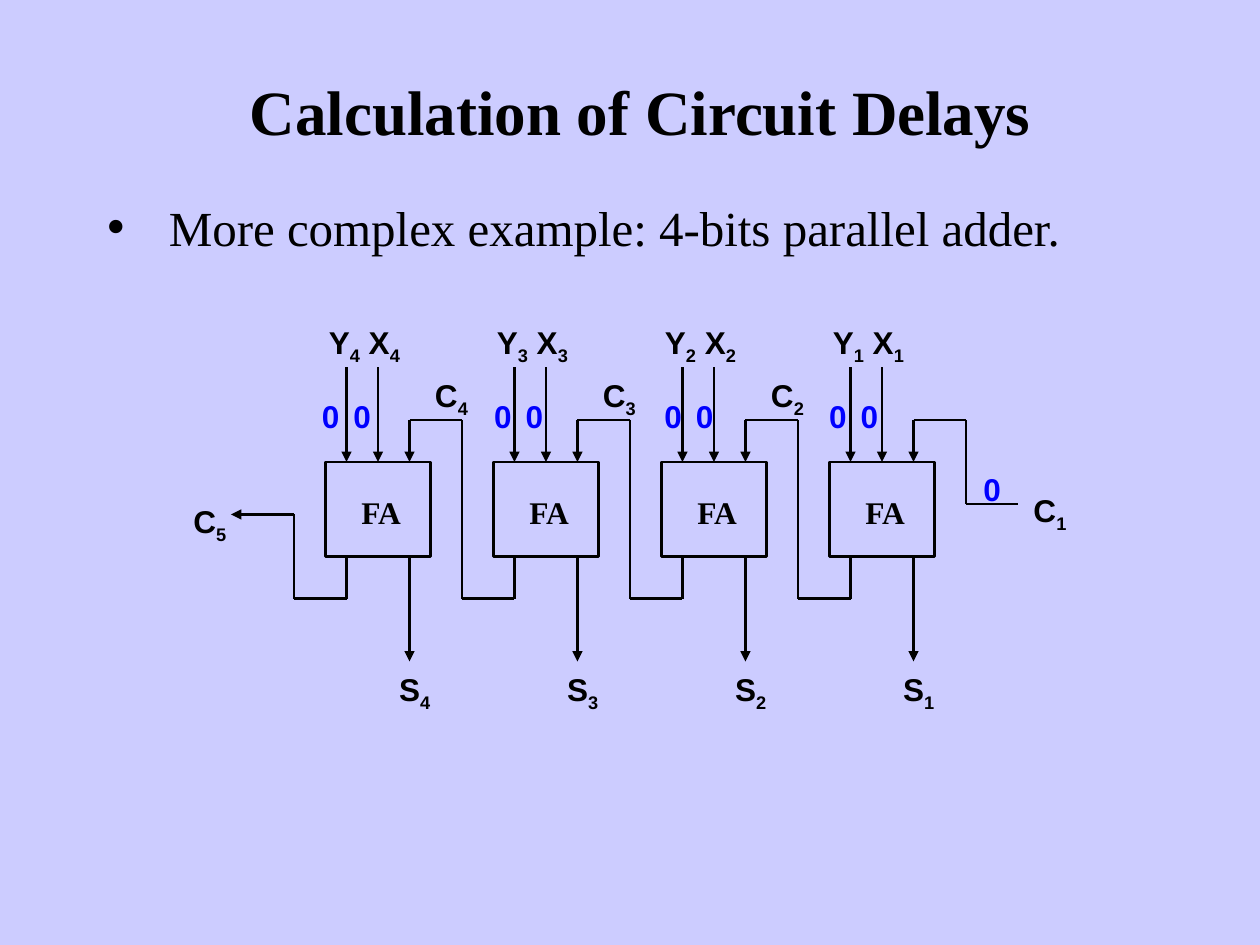
from itertools import pairwise

from lxml.etree import SubElement
from pptx import Presentation
from pptx.dml.color import RGBColor
from pptx.enum.shapes import MSO_CONNECTOR, MSO_SHAPE
from pptx.enum.text import MSO_ANCHOR, PP_ALIGN
from pptx.oxml.ns import qn
from pptx.util import Pt

EMU_PER_PX = 7620
BLACK = RGBColor(0x00, 0x00, 0x00)
BLUE = RGBColor(0x00, 0x00, 0xFF)
LAVENDER = RGBColor(0xCC, 0xCC, 0xFF)
SERIF = "Times New Roman"
SANS = "Arial"

FIRST_X, PITCH = 310, 160
INPUT_Y, CARRY_Y, BOX_Y, BOX_BOTTOM, LOOP_Y, SUM_Y = 350, 400, 440, 530, 570, 630
ZERO_OFFSETS = {4: -20, 3: -16, 2: -14, 1: -17}


def px(n):
    """Turn pixels into EMU."""
    return n * EMU_PER_PX


def add_text(s, box, runs, size=18, font=SANS, color=BLACK, bold=True, align=PP_ALIGN.CENTER):
    """Add a one-paragraph text box; a run of digits after a letter is a subscript."""
    sp = s.shapes.add_textbox(*map(px, box))
    tf = sp.text_frame
    tf.word_wrap = True
    p = tf.paragraphs[0]
    p.alignment = align
    for i, text in enumerate(runs):
        r = p.add_run()
        r.text = text
        r.font.size, r.font.name, r.font.bold = Pt(size), font, bold
        r.font.color.rgb = color
        if i and text.isdigit():
            r.font._element.set("baseline", "-25000")
    return sp


def add_bullet(sp, indent):
    """Give the box's paragraph a hanging bullet slightly larger than its text."""
    pPr = sp.text_frame.paragraphs[0]._p.get_or_add_pPr()
    pPr.set("marL", str(px(indent)))
    pPr.set("indent", str(-px(indent)))
    SubElement(pPr, qn("a:buSzPct"), val="114000")
    SubElement(pPr, qn("a:buFont"), typeface=SERIF)
    SubElement(pPr, qn("a:buChar"), char="•")


def add_wire(s, points, arrow=False):
    """Draw straight segments through the points and return the last one."""
    for start, end in pairwise(points):
        c = s.shapes.add_connector(MSO_CONNECTOR.STRAIGHT, *map(px, start + end))
        c.line.color.rgb = BLACK
        c.line.width = Pt(1.25)
        SubElement(c._element.spPr, qn("a:effectLst"))
    if arrow:
        SubElement(c.line._get_or_add_ln(), qn("a:tailEnd"), type="triangle")
    return c


def add_box(s, x):
    """Add the outline of one full adder with its name."""
    sp = s.shapes.add_shape(MSO_SHAPE.RECTANGLE, *map(px, (x, BOX_Y, 100, BOX_BOTTOM - BOX_Y)))
    sp.shadow.inherit = False
    sp.fill.background()
    sp.line.color.rgb = BLACK
    sp.line.width = Pt(1.5)
    add_text(s, (x + 13, 464, 80, 48), ["FA"], font=SERIF)
    return sp


def add_zero(s, x, y):
    """Add a blue zero delay."""
    add_text(s, (x, y, 50, 48), ["0"], color=BLUE)


def add_stage(s, x, bit):
    """Add one adder stage with its inputs, sum output and incoming carry."""
    n = str(bit)
    box = add_box(s, x)
    add_text(s, (x - 20, 302, 114, 53), ["Y", n, " X", n])
    add_wire(s, [(x + 20, INPUT_Y), (x + 20, BOX_Y)], arrow=True)
    add_wire(s, [(x + 50, INPUT_Y), (x + 50, BOX_Y)], arrow=True).end_connect(box, 0)
    add_wire(s, [(x + 80, BOX_BOTTOM), (x + 80, SUM_Y)], arrow=True)
    add_text(s, (x + 50, SUM_Y + 2, 70, 53), ["S", n])
    add_wire(s, [(x + 80, CARRY_Y), (x + 80, BOX_Y)], arrow=True)
    if bit > 1:
        source = [(x + 130, LOOP_Y), (x + PITCH + 20, LOOP_Y), (x + PITCH + 20, BOX_BOTTOM)]
        add_text(s, (x + 90, 352, 60, 53), ["C", n])
    else:
        source = [(x + 130, 480), (x + 180, 480)]
        add_text(s, (x + 180, 462, 60, 53), ["C", n])
        add_zero(s, x + 130, 442)
    add_wire(s, [(x + 80, CARRY_Y), (x + 130, CARRY_Y)] + source)
    for step in (0, 30):
        add_zero(s, x + ZERO_OFFSETS[bit] + step, 372)


def add_carry_out(s, x):
    """Add the final carry that leaves the leftmost stage."""
    add_wire(s, [(x + 20, BOX_BOTTOM), (x + 20, LOOP_Y), (x - 30, LOOP_Y),
                 (x - 30, 490), (x - 90, 490)], arrow=True)
    add_text(s, (x - 140, 472, 60, 53), ["C", "5"])


def main():
    """Build the slide and save it."""
    prs = Presentation()
    prs.slide_width, prs.slide_height = px(1200), px(900)
    s = prs.slides.add_slide(prs.slide_layouts[6])
    s.background.fill.solid()
    s.background.fill.fore_color.rgb = LAVENDER

    title = add_text(s, (100, 30, 1020, 150), ["Calculation of Circuit Delays"], 36, SERIF)
    title.text_frame.vertical_anchor = MSO_ANCHOR.MIDDLE
    body = add_text(s, (90, 170, 1020, 630), ["More complex example: 4-bits parallel adder."],
                    28, SERIF, bold=False, align=PP_ALIGN.LEFT)
    body.text_frame.margin_top = px(18)
    add_bullet(body, 59)

    for i, bit in enumerate((4, 3, 2, 1)):
        add_stage(s, FIRST_X + i * PITCH, bit)
    add_carry_out(s, FIRST_X)
    prs.save("out.pptx")


if __name__ == "__main__":
    main()
